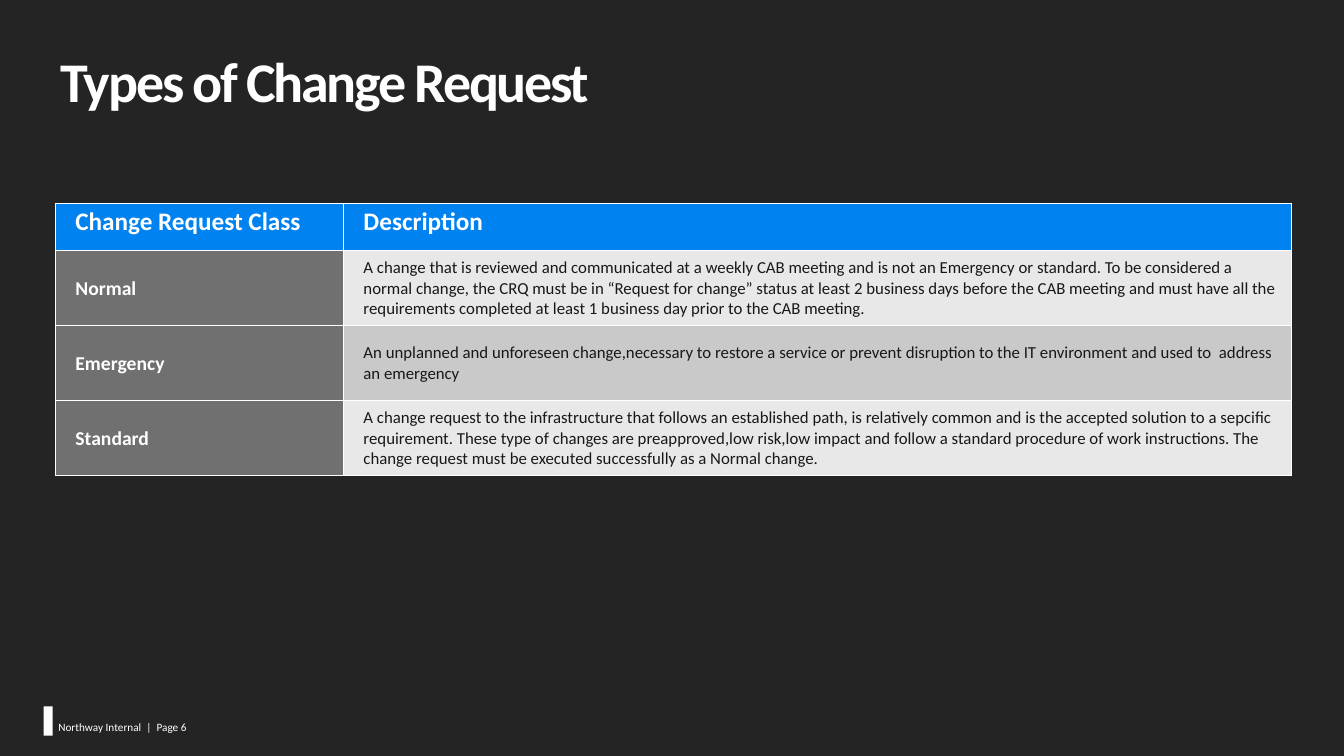
from dataclasses import dataclass

from lxml import etree
from pptx import Presentation
from pptx import util as u
from pptx.dml.color import RGBColor
from pptx.enum import shapes, text
from pptx.oxml.ns import qn


@dataclass(frozen=True)
class Theme:
    font: str = "Calibri"
    background: str = "242424"
    white: str = "FFFFFF"
    ink: str = "181818"
    blue: str = "0082F0"
    label: str = "707070"
    light: str = "E8E8E8"
    mid: str = "C9C9C9"
    title_size: int = 40
    header_size: int = 18
    label_size: int = 14
    body_size: int = 12
    footer_size: int = 8


theme = Theme()


def style(p, size, color, bold=False):
    p.font.name = theme.font
    p.font.size = u.Pt(size)
    p.font.bold = bold
    p.font.color.rgb = RGBColor.from_string(color)


def set_cell(cell, words, fill, size, color, bold, top, bottom):
    cell.fill.solid()
    cell.fill.fore_color.rgb = RGBColor.from_string(fill)
    cell.vertical_anchor = text.MSO_ANCHOR.MIDDLE
    cell.margin_left, cell.margin_right = u.Cm(0.5), u.Cm(0.25)
    cell.margin_top, cell.margin_bottom = u.Cm(top), u.Cm(bottom)
    p = cell.text_frame.paragraphs[0]
    p.text = words
    style(p, size, color, bold)
    tc_pr = cell._tc.get_or_add_tcPr()
    for i, side in enumerate(("lnL", "lnR", "lnT", "lnB")):
        ln = etree.Element(qn(f"a:{side}"), w=str(u.Pt(1)))
        solid = etree.SubElement(ln, qn("a:solidFill"))
        etree.SubElement(solid, qn("a:srgbClr"), val=theme.white)
        tc_pr.insert(i, ln)
    return p


prs = Presentation()
prs.slide_width, prs.slide_height = u.Cm(33.87), u.Cm(19.05)
s = prs.slides.add_slide(prs.slide_layouts[5])
s.background.fill.solid()
s.background.fill.fore_color.rgb = RGBColor.from_string(theme.background)

title = s.shapes.title
title.left, title.top, title.width, title.height = u.Cm(1.32), u.Cm(1.32), u.Cm(23.22), u.Cm(3)
tf = title.text_frame
tf.word_wrap = True
tf.auto_size = text.MSO_AUTO_SIZE.NONE
tf.vertical_anchor = text.MSO_ANCHOR.TOP
tf.margin_left, tf.margin_top, tf.margin_right, tf.margin_bottom = u.Cm(0.2), u.Cm(0.1), 0, 0
p = tf.paragraphs[0]
p.text = "Types of Change Request"
p.alignment = text.PP_ALIGN.LEFT
p.line_spacing = 0.85
p.space_before = u.Pt(3)
style(p, theme.title_size, theme.white, True)
p.runs[0]._r.get_or_add_rPr().set("spc", "-160")

headers = ["Change Request Class", "Description"]
requests = [
    ("Normal", "A change that is reviewed and communicated at a weekly CAB meeting and is not an Emergency or standard. To be considered a normal change, the CRQ must be in “Request for change” status at least 2 business days before the CAB meeting and must have all the requirements completed at least 1 business day prior to the CAB meeting.", theme.light),
    ("Emergency", "An unplanned and unforeseen change,necessary to restore a service or prevent disruption to the IT environment and used to  address an emergency", theme.mid),
    ("Standard", "A change request to the infrastructure that follows an established path, is relatively common and is the accepted solution to a sepcific requirement. These type of changes are preapproved,low risk,low impact and follow a standard procedure of work instructions. The change request must be executed successfully as a Normal change.", theme.light),
]
header_height, row_height = 1.19, 1.89
widths = [7.26, 23.88]
table = s.shapes.add_table(
    len(requests) + 1, len(headers), u.Cm(1.4), u.Cm(5.13),
    u.Cm(sum(widths)), u.Cm(header_height + row_height * len(requests)),
).table
table.horz_banding = False
for column, width in zip(table.columns, widths):
    column.width = u.Cm(width)
table.rows[0].height = u.Cm(header_height)
for i, words in enumerate(headers):
    p = set_cell(table.cell(0, i), words, theme.blue, theme.header_size, theme.white, True, 0.25, 0.13)
    p.line_spacing = u.Pt(11)
    p.space_before = u.Pt(6)
for i, (name, description, fill) in enumerate(requests, 1):
    table.rows[i].height = u.Cm(row_height)
    p = set_cell(table.cell(i, 0), name, theme.label, theme.label_size, theme.white, True, 0, 0)
    p.space_before = p.space_after = u.Pt(1)
    p = set_cell(table.cell(i, 1), description, fill, theme.body_size, theme.ink, False, 0, 0)
    p.space_after = u.Pt(2)

marker = s.shapes.add_shape(shapes.MSO_SHAPE.RECTANGLE, u.Cm(1.1), u.Cm(17.8), u.Cm(0.23), u.Cm(0.74))
marker.shadow.inherit = False
marker.fill.solid()
marker.fill.fore_color.rgb = RGBColor.from_string(theme.white)
marker.line.fill.background()

footer = s.shapes.add_textbox(u.Cm(1.47), u.Cm(18.14), u.Cm(27.41), u.Cm(0.61))
tf = footer.text_frame
tf.word_wrap = False
tf.margin_left = tf.margin_top = tf.margin_right = tf.margin_bottom = 0
p = tf.paragraphs[0]
p.text = "Northway Internal  |  Page 6"
style(p, theme.footer_size, theme.white)

prs.save("out.pptx")
